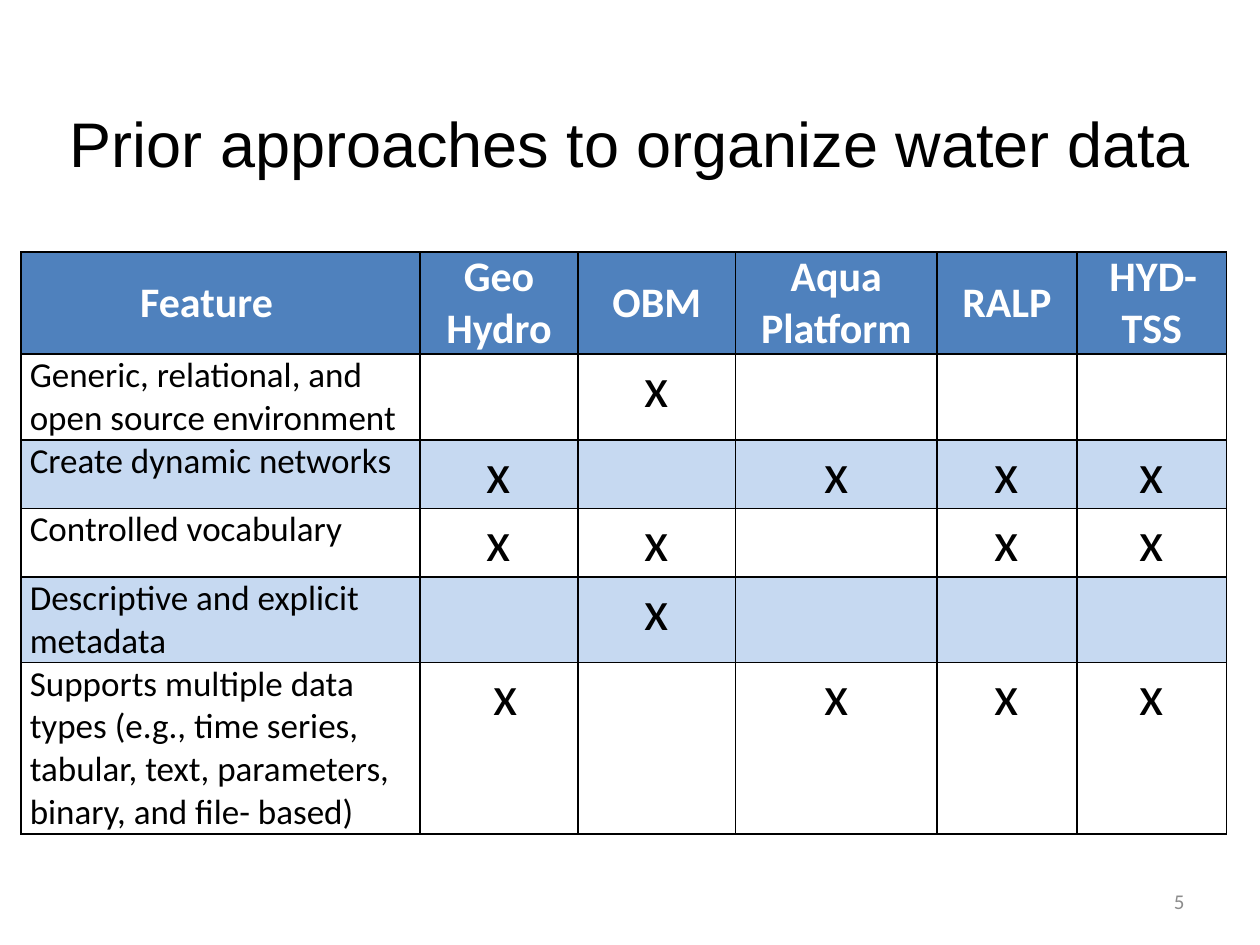
from lxml.etree import SubElement
from pptx import Presentation
from pptx.dml.color import RGBColor
from pptx.enum.text import MSO_ANCHOR, PP_ALIGN
from pptx.oxml.ns import qn
from pptx.util import Cm, Pt

TITLE = "Prior approaches to organize water data"
PAGE = "5"
HEADS = ["Feature", "Geo Hydro", "OBM", "Aqua Platform", "RALP", "HYD-TSS"]
ROWS = [
    ("Generic, relational, and open source environment", " x   "),
    ("Create dynamic networks", "x xxx"),
    ("Controlled vocabulary", "xx xx"),
    ("Descriptive and explicit metadata", " x   "),
    ("Supports multiple data types (e.g., time series, tabular, text, "
     "parameters, binary, and file- based)", "x xxx"),
]
WIDTHS = [8.05, 3.18, 3.18, 4.06, 2.82, 3.02]
HEIGHTS = [2.06, 1.73, 1.38, 1.38, 1.73, 3.45]
THEME = {
    "ink": "000000", "light": "FFFFFF", "grey": "8C8C8C",
    "head": "4F81BD", "band": "C6D9F1",
    "display": "Arial", "body": "Calibri",
    "title": 36, "label": 24, "text": 20, "mark": 32, "page": 12,
}


def write(frame, text, size="text", color="ink", font="body", bold=False,
          align=PP_ALIGN.LEFT):
    """Put formatted text into a text frame."""
    frame.word_wrap = True
    para = frame.paragraphs[0]
    para.alignment = align
    run = para.add_run()
    run.text = text
    run.font.name = THEME[font]
    run.font.size = Pt(THEME[size])
    run.font.bold = bold
    run.font.color.rgb = RGBColor.from_string(THEME[color])


def add_box(slide, area, text, **style):
    """Add a text box with its text centred in height."""
    frame = slide.shapes.add_textbox(*map(Cm, area)).text_frame
    frame.vertical_anchor = MSO_ANCHOR.MIDDLE
    write(frame, text, **style)


def dress(cell, fill):
    """Give a cell its margins, borders and fill."""
    cell.margin_left = cell.margin_right = Cm(0.18)
    cell.margin_top = cell.margin_bottom = 0
    props = cell._tc.get_or_add_tcPr()
    for side in ("lnL", "lnR", "lnT", "lnB"):
        line = SubElement(props, qn(f"a:{side}"), w=str(Pt(1)))
        paint = SubElement(line, qn("a:solidFill"))
        SubElement(paint, qn("a:srgbClr"), val=THEME["ink"])
    cell.fill.solid()
    cell.fill.fore_color.rgb = RGBColor.from_string(THEME[fill])


def add_grid(slide):
    """Add the table of features against systems."""
    shape = slide.shapes.add_table(
        len(HEIGHTS), len(WIDTHS), Cm(0.42), Cm(5.08),
        Cm(sum(WIDTHS)), Cm(sum(HEIGHTS)))
    grid = shape.table
    for col, width in zip(grid.columns, WIDTHS):
        col.width = Cm(width)
    for row, height in zip(grid.rows, HEIGHTS):
        row.height = Cm(height)
    for c, head in enumerate(HEADS):
        cell = grid.cell(0, c)
        dress(cell, "head")
        cell.vertical_anchor = MSO_ANCHOR.MIDDLE
        write(cell.text_frame, head, size="label", color="light", bold=True,
              align=PP_ALIGN.CENTER)
    grid.cell(0, 0).margin_right = Cm(0.74)
    for r, (name, marks) in enumerate(ROWS, 1):
        for c, text in enumerate([name, *marks]):
            cell = grid.cell(r, c)
            dress(cell, "light" if r % 2 else "band")
            if c == 0:
                write(cell.text_frame, text)
            elif text == "x":
                write(cell.text_frame, text, size="mark",
                      align=PP_ALIGN.CENTER)
    grid.cell(len(ROWS), 1).margin_left = Cm(0.43)


def main():
    """Build the slide and save it."""
    deck = Presentation()
    deck.slide_width, deck.slide_height = Cm(25.4), Cm(19.05)
    slide = deck.slides.add_slide(deck.slide_layouts[6])
    add_box(slide, (0, 1.27, 25.4, 3.18), TITLE, size="title",
            font="display", align=PP_ALIGN.CENTER)
    add_box(slide, (18.2, 17.65, 5.93, 1.02), PAGE, size="page",
            color="grey", align=PP_ALIGN.RIGHT)
    add_grid(slide)
    deck.save("out.pptx")


if __name__ == "__main__":
    main()
